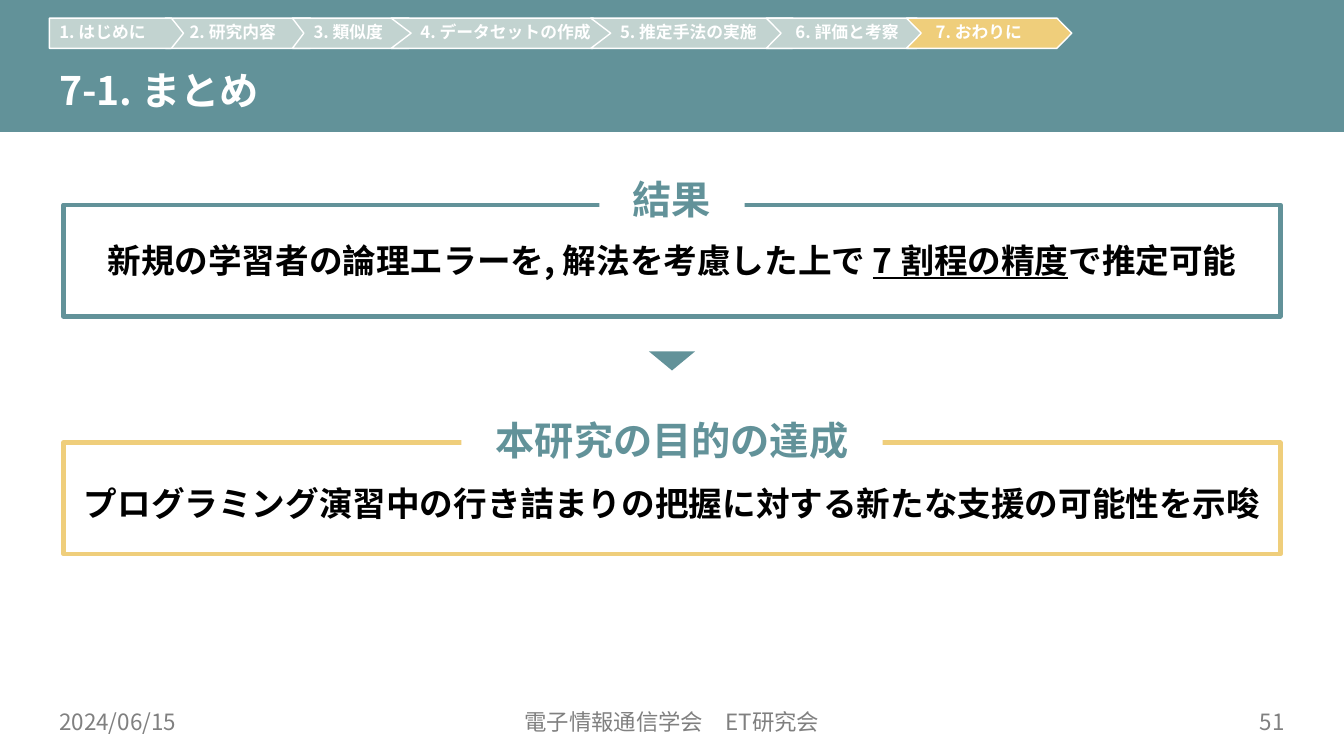
from lxml.etree import SubElement
from pptx import Presentation
from pptx.dml.color import RGBColor
from pptx.enum.shapes import MSO_SHAPE as Preset
from pptx.enum.text import MSO_ANCHOR as Anchor, MSO_AUTO_SIZE as AutoSize, PP_ALIGN as Align
from pptx.oxml.ns import qn
from pptx.util import Inches, Pt

FONT = "Noto Sans CJK JP"
COLORS = {
    "teal": "629299",
    "pale": "C2D3D0",
    "gold": "EFCE7B",
    "white": "FFFFFF",
    "black": "000000",
    "gray": "808080",
}
STEPS = [
    ("2. 研究内容", 1.64, 1.58, 0.24),
    ("1. はじめに", 0.49, 1.33, 0.1),
    ("3. 類似度", 2.9, 1.27, 0.21),
    ("4. データセットの作成", 3.88, 2.2, 0.29),
    ("5. 推定手法の実施", 5.86, 2.2, 0.29),
    ("6. 評価と考察", 7.6, 1.64, 0.29),
    ("7. おわりに", 8.99, 1.64, 0.29),
]
FIRST_STEP, CURRENT_STEP = STEPS[1], STEPS[-1]
RESULT = [
    ("新規の学習者の論理エラーを, 解法を考慮した上で ", False),
    ("7 割程の精度", True),
    ("で推定可能", False),
]
GOAL = [("プログラミング演習中の行き詰まりの把握に対する新たな支援の可能性を示唆", False)]


def color(name):
    return RGBColor.from_string(COLORS[name])


def style_shape(shape, fill=None, line=None, line_width=1):
    shape.shadow.inherit = False
    if fill:
        shape.fill.solid()
        shape.fill.fore_color.rgb = color(fill)
    else:
        shape.fill.background()
    if line:
        shape.line.color.rgb = color(line)
        shape.line.width = Pt(line_width)
    else:
        shape.line.fill.background()


def add_preset(slide, preset, left, top, width, height, **style):
    shape = slide.shapes.add_shape(
        preset, Inches(left), Inches(top), Inches(width), Inches(height))
    style_shape(shape, **style)
    return shape


def write(shape, runs, size, ink, bold=False, align=Align.LEFT, anchor=Anchor.MIDDLE):
    frame = shape.text_frame
    frame.word_wrap = True
    frame.vertical_anchor = anchor
    paragraph = frame.paragraphs[0]
    paragraph.alignment = align
    font = paragraph.font
    font.size = Pt(size)
    font.bold = bold
    font.name = FONT
    font.color.rgb = color(ink)
    defaults = paragraph._p.pPr.find(qn("a:defRPr"))
    SubElement(defaults, qn("a:ea")).set("typeface", FONT)
    for text, underlined in runs:
        run = paragraph.add_run()
        run.text = text
        if underlined:
            run.font.underline = True
    return paragraph


def add_text(slide, left, top, width, height, runs, size, ink, **options):
    box = slide.shapes.add_textbox(
        Inches(left), Inches(top), Inches(width), Inches(height))
    return write(box, runs, size, ink, **options)


def add_header(slide, left, top, width, height):
    add_preset(slide, Preset.RECTANGLE, left, top, width, height, fill="teal")
    title = add_text(slide, left + 0.49, top + 0.53, 9.93, 0.79,
                     [("7-1. まとめ", False)], 28, "white", bold=True)
    title.line_spacing = 0.9


def add_step(slide, step, top, height):
    label, left, width, inset = step
    right, middle, bottom = left + width, top + height / 2, top + height
    tip = 0.09 * width
    points = [(right - tip, top), (right, middle), (right - tip, bottom), (left, bottom)]
    if step != FIRST_STEP:
        points.append((left + tip, middle))
    builder = slide.shapes.build_freeform(Inches(left), Inches(top))
    builder.add_line_segments([(Inches(x), Inches(y)) for x, y in points], close=True)
    shape = builder.convert_to_shape()
    style_shape(shape, fill="gold" if step == CURRENT_STEP else "pale", line="white")
    frame = shape.text_frame
    frame.margin_left = Inches(inset)
    frame.margin_right = Inches(0.05)
    frame.margin_top = frame.margin_bottom = Inches(0.03)
    write(shape, [(label, False)], 12, "white", bold=True).line_spacing = 0.9


def add_steps(slide, top, height):
    for step in STEPS:
        add_step(slide, step, top, height)


def add_panel(slide, left, top, width, height, border, heading, heading_width,
              heading_rise, runs, text_drop):
    add_preset(slide, Preset.RECTANGLE, left, top, width, height,
               line=border, line_width=3)
    body = add_text(slide, left, top + text_drop, width, 0.69, runs, 24, "black",
                    bold=True, align=Align.CENTER, anchor=Anchor.TOP)
    body.line_spacing = Pt(25)
    body.space_before = Pt(10)
    label = add_preset(slide, Preset.RECTANGLE, left + (width - heading_width) / 2,
                       top - heading_rise, heading_width, 0.57, fill="white")
    write(label, [(heading, False)], 28, "teal", bold=True,
          align=Align.CENTER, anchor=Anchor.TOP)
    label.text_frame.auto_size = AutoSize.SHAPE_TO_FIT_TEXT


def add_down_arrow(slide, left, top, width, height):
    arrow = add_preset(slide, Preset.RIGHT_ARROW, left, top, width, height, fill="teal")
    arrow.rotation = 90
    arrow.adjustments[0] = 0.358
    arrow.adjustments[1] = 1


def add_footer(slide, left, top, width, height):
    part = 3
    center = 5
    for text, x, part_width, align in [
        ("2024/06/15", left, part, Align.LEFT),
        ("電子情報通信学会\u3000ET研究会".replace("\u3000", "　"),
         left + (width - center) / 2, center, Align.CENTER),
        ("51", left + width - part, part, Align.RIGHT),
    ]:
        add_text(slide, x, top, part_width, height, [(text, False)], 16, "gray",
                 align=align)


def main():
    presentation = Presentation()
    presentation.slide_width = Inches(13.33)
    presentation.slide_height = Inches(7.5)
    slide = presentation.slides.add_slide(presentation.slide_layouts[6])
    add_header(slide, 0, 0, 13.33, 1.31)
    add_steps(slide, 0.18, 0.3)
    add_panel(slide, 0.63, 2.03, 12.07, 1.11, "teal", "結果", 1.44, 0.34, RESULT, 0.35)
    add_down_arrow(slide, 6.57, 3.35, 0.19, 0.46)
    add_panel(slide, 0.63, 4.39, 12.07, 1.11, "gold", "本研究の目的の達成", 4.18, 0.31,
              GOAL, 0.4)
    add_footer(slide, 0.49, 6.96, 12.35, 0.4)
    presentation.save("out.pptx")


if __name__ == "__main__":
    main()
